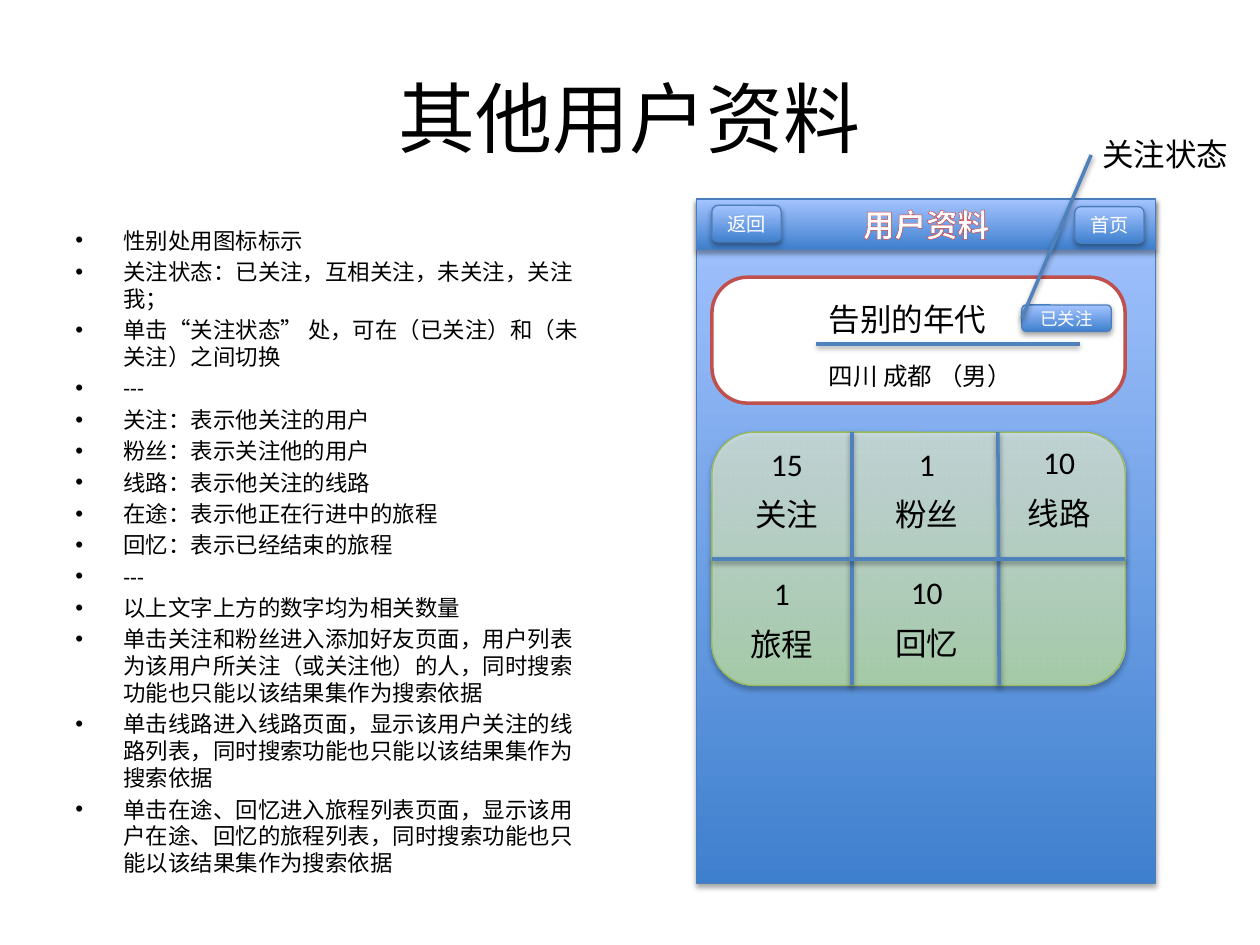
from dataclasses import dataclass

from lxml.etree import SubElement
from pptx import Presentation
from pptx.dml.color import RGBColor as Rgb
from pptx.enum.shapes import MSO_CONNECTOR as Link, MSO_SHAPE as Form
from pptx.enum.text import MSO_ANCHOR as Anchor, PP_ALIGN as Align
from pptx.oxml.ns import qn
from pptx.util import Emu, Inches, Pt


@dataclass(frozen=True)
class Theme:
    font: str = "Calibri"
    cjk_font: str = "Noto Sans CJK SC"
    ink: str = "000000"
    paper: str = "FFFFFF"
    alert: str = "C0504D"
    glow: str = "D73A36"
    rule: str = "4F81BD"
    blue_edge: str = "4B7EBC"
    green_edge: str = "98B955"
    blues: tuple = ((0, "3F80CE"), (100, "A4C4FF"))
    greens: tuple = ((0, "DAFDA7"), (35, "E4FCC2"), (100, "F5FFE7"))
    title: float = 44
    heading: float = 18
    detail: float = 14
    body: float = 12.8
    button: float = 11
    badge: float = 10
    thin: float = 0.75
    thick: float = 2


def element(parent, tag, **values):
    return SubElement(parent, qn(f"a:{tag}"), {name: str(value) for name, value in values.items()})


class Board:
    COLUMNS, ROWS = 100, 75

    def __init__(self, deck, theme):
        self.theme = theme
        self.column = deck.slide_width / self.COLUMNS
        self.row = deck.slide_height / self.ROWS
        self.slide = deck.slides.add_slide(deck.slide_layouts[6])

    def place(self, *lengths):
        units = (self.column, self.row) * 2
        return [Emu(round(length * unit)) for length, unit in zip(lengths, units)]

    def typeset(self, frame, lines, size, align=Align.LEFT, anchor=Anchor.TOP,
                color=None, bullet=False, wrap=True, bold=None):
        for name, value in {"word_wrap": wrap, "vertical_anchor": anchor}.items():
            setattr(frame, name, value)
        for index, line in enumerate(lines):
            paragraph = frame.add_paragraph() if index else frame.paragraphs[0]
            paragraph.alignment = align
            if bullet:
                properties = paragraph._p.get_or_add_pPr()
                properties.set("marL", str(Inches(0.38)))
                properties.set("indent", str(-Inches(0.38)))
                element(properties, "buFont", typeface="Arial")
                element(properties, "buChar", char="•")
                if index:
                    paragraph.space_before = Pt(size * 0.2)
            run = paragraph.add_run()
            run.text = line
            style = {"name": self.theme.font, "size": Pt(size), "bold": bold}
            for name, value in style.items():
                setattr(run.font, name, value)
            run.font.color.rgb = Rgb.from_string(color or self.theme.ink)
        return run

    def text(self, box, lines, size, **style):
        label = self.slide.shapes.add_textbox(*self.place(*box))
        self.typeset(label.text_frame, lines, size, **style)

    def shadow(self, properties, opacity, distance):
        effects = properties.find(qn("a:effectLst"))
        if effects is None:
            effects = element(properties, "effectLst")
        cast = element(effects, "outerShdw", blurRad=Pt(3.1), dist=Pt(distance),
                       dir=5400000, rotWithShape=0)
        element(element(cast, "srgbClr", val="000000"), "alpha", val=opacity * 1000)

    def outline(self, line, color, width):
        line.color.rgb = Rgb.from_string(color)
        line.width = Pt(width)

    def panel(self, box, form, edge, width, fill=None, stops=(), alpha=100,
              shadow=None, corner=None):
        panel = self.slide.shapes.add_shape(form, *self.place(*box))
        panel.shadow.inherit = False
        if corner:
            panel.adjustments[0] = corner
        if stops:
            panel.fill.gradient()
            panel.fill.gradient_angle = 90
            ramp = panel._element.spPr.find(qn("a:gradFill")).find(qn("a:gsLst"))
            for old in list(ramp):
                ramp.remove(old)
            for position, color in stops:
                tone = element(element(ramp, "gs", pos=position * 1000), "srgbClr", val=color)
                if alpha < 100:
                    element(tone, "alpha", val=alpha * 1000)
        else:
            panel.fill.solid()
            panel.fill.fore_color.rgb = Rgb.from_string(fill)
        self.outline(panel.line, edge, width)
        if shadow:
            self.shadow(panel._element.spPr, *shadow)
        return panel

    def blue(self, box, form=Form.ROUNDED_RECTANGLE):
        return self.panel(box, form, self.theme.blue_edge, self.theme.thin,
                          stops=self.theme.blues, shadow=(35, 1.8))

    def button(self, box, caption, size):
        button = self.blue(box)
        self.typeset(button.text_frame, [caption], size, align=Align.CENTER,
                     anchor=Anchor.MIDDLE, color=self.theme.paper)
        return button

    def banner(self, box, caption):
        banner = self.blue(box, Form.RECTANGLE)
        run = self.typeset(banner.text_frame, [caption], self.theme.heading, align=Align.CENTER,
                           anchor=Anchor.MIDDLE, color=self.theme.paper, bold=True)
        run.font.name = self.theme.cjk_font
        properties = run._r.get_or_add_rPr()
        element(properties, "ea", typeface=self.theme.cjk_font)
        stroke = element(properties, "ln", w=Pt(1.42))
        element(element(stroke, "solidFill"), "srgbClr", val=self.theme.glow)
        properties.insert(0, stroke)

    def line(self, start, end, begin=None, finish=None):
        line = self.slide.shapes.add_connector(Link.STRAIGHT, *self.place(*start, *end))
        if begin:
            line.begin_connect(*begin)
        if finish:
            line.end_connect(*finish)
        self.outline(line.line, self.theme.rule, self.theme.thick)
        self.shadow(line._element.spPr, 38, 1.6)

    def stat(self, column, row, count, caption):
        for top, words in ((row, count), (row + 4, caption)):
            self.text((column, top, 8.1, 4), [words], self.theme.heading, align=Align.CENTER)


NOTES = [
    "性别处用图标标示",
    "关注状态：已关注，互相关注，未关注，关注我；",
    "单击“关注状态” 处，可在（已关注）和（未关注）之间切换",
    "---",
    "关注：表示他关注的用户",
    "粉丝：表示关注他的用户",
    "线路：表示他关注的线路",
    "在途：表示他正在行进中的旅程",
    "回忆：表示已经结束的旅程",
    "---",
    "以上文字上方的数字均为相关数量",
    "单击关注和粉丝进入添加好友页面，用户列表为该用户所关注（或关注他）的人，同时搜索功能也只能以该结果集作为搜索依据",
    "单击线路进入线路页面，显示该用户关注的线路列表，同时搜索功能也只能以该结果集作为搜索依据",
    "单击在途、回忆进入旅程列表页面，显示该用户在途、回忆的旅程列表，同时搜索功能也只能以该结果集作为搜索依据",
]
STATS = [
    (58.4, 34.8, "15", "关注"),
    (69.5, 34.8, "1", "粉丝"),
    (80, 34.7, "10", "线路"),
    (58, 45.1, "1", "旅程"),
    (69.5, 45, "10", "回忆"),
]


def main():
    deck = Presentation()
    deck.slide_width, deck.slide_height = Inches(10), Inches(7.5)
    theme = Theme()
    board = Board(deck, theme)

    board.text((5, 3, 90, 12.5), ["其他用户资料"], theme.title,
               align=Align.CENTER, anchor=Anchor.MIDDLE)
    board.text((5, 17.5, 42.9, 49.5), NOTES, theme.body, bullet=True)

    board.blue((55.3, 15.8, 36.4, 54.3), Form.RECTANGLE)
    board.banner((55.3, 15.8, 36.4, 4), "用户资料")
    board.button((56.5, 16.3, 5.5, 2.9), "返回", theme.button)
    board.button((85.3, 16.4, 5.5, 2.9), "首页", theme.button)

    board.panel((56.5, 22, 32.8, 10), Form.ROUNDED_RECTANGLE, theme.alert, theme.thick,
                fill=theme.paper, corner=0.284)
    board.text((64.8, 23.3, 20.9, 4), ["告别的年代"], theme.heading)
    board.line((64.8, 27.3), (85.7, 27.3))
    board.text((64.8, 28.2, 20.9, 3.4), ["四川 成都 （男）"], theme.detail)
    follow = board.button((81.1, 24.2, 7.1, 2.1), "已关注", theme.badge)

    stats = board.panel((56.5, 34.3, 32.8, 20.1), Form.ROUNDED_RECTANGLE, theme.green_edge,
                        theme.thin, stops=theme.greens, alpha=64, shadow=(38, 1.6))
    for top, bottom in ((67.6, 67.6), (79.2, 79.3)):
        board.line((top, 34.3), (bottom, 54.4))
    board.line((56.5, 44.35), (89.3, 44.35), begin=(stats, 1), finish=(stats, 3))
    for stat in STATS:
        board.stat(*stat)

    board.line((86.6, 12.3), (81.1, 25.25), finish=(follow, 1))
    board.text((86.5, 10.2, 12.1, 4), ["关注状态"], theme.heading, wrap=False)
    deck.save("out.pptx")


if __name__ == "__main__":
    main()
